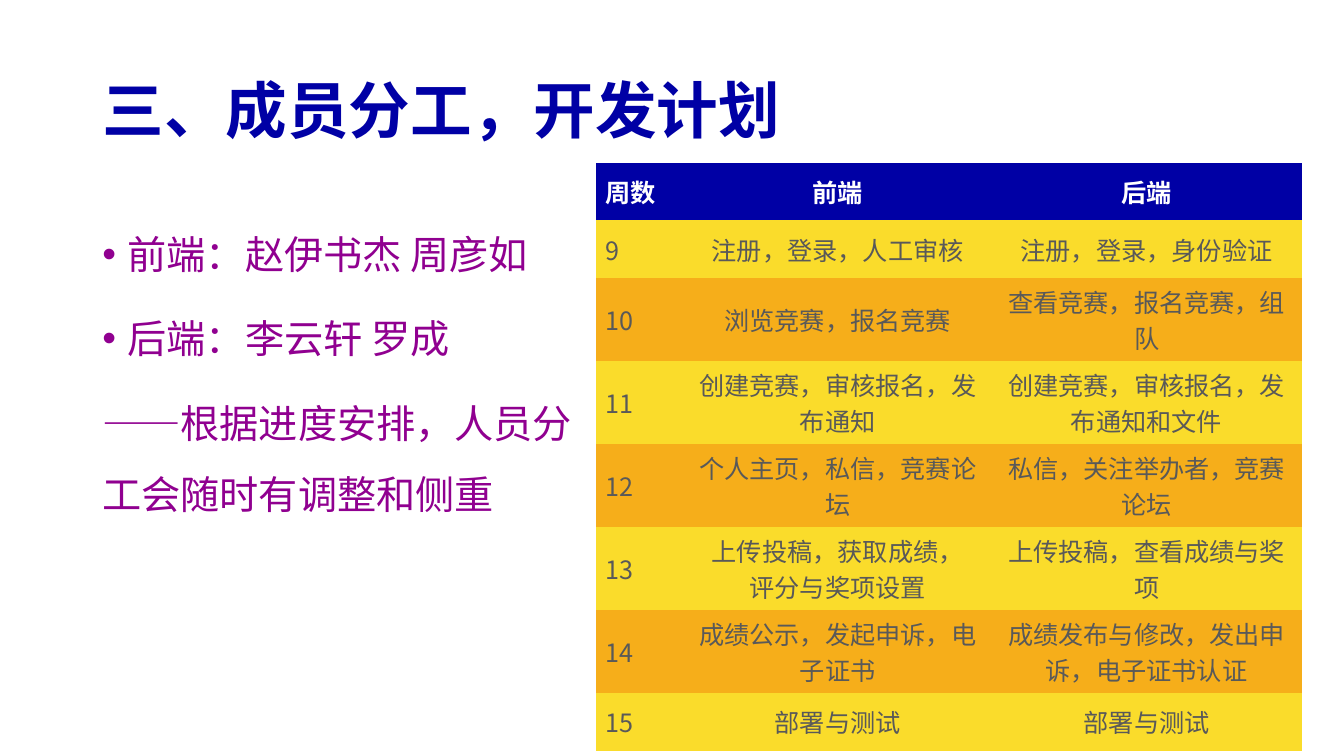
"""Build the slide on team roles and the weekly development plan."""
from lxml import etree
from pptx import Presentation
from pptx.dml.color import RGBColor
from pptx.enum.lang import MSO_LANGUAGE_ID
from pptx.enum.text import MSO_ANCHOR, MSO_AUTO_SIZE, PP_ALIGN
from pptx.oxml.ns import qn
from pptx.util import Cm, Pt

LEFT, CENTER = PP_ALIGN.LEFT, PP_ALIGN.CENTER
MIDDLE = MSO_ANCHOR.MIDDLE
NO_FIT = MSO_AUTO_SIZE.NONE
CHINESE = MSO_LANGUAGE_ID.SIMPLIFIED_CHINESE
FONT = "Noto Sans CJK SC"
COLORS = {
    "navy": "0000A5",
    "purple": "900090",
    "white": "FFFFFF",
    "grey": "595959",
    "yellow": "FADC2B",
    "orange": "F6AE1A",
}


def add_run(para, text, size, color, bold=False):
    run = para.add_run()
    run.text = text
    font = run.font
    font.size, font.bold, font.name = Pt(size), bold, FONT
    font.language_id = CHINESE
    font.color.rgb = RGBColor.from_string(COLORS[color])
    etree.SubElement(run._r.get_or_add_rPr(), qn("a:ea"), typeface=FONT)


deck = Presentation()
deck.slide_width, deck.slide_height = Cm(33.87), Cm(19.05)
slide = deck.slides.add_slide(deck.slide_layouts[5])

title = slide.shapes.title
title.left, title.top = Cm(2.33), Cm(1.01)
title.width, title.height = Cm(27.38), Cm(3.68)
frame = title.text_frame
frame.auto_size, frame.vertical_anchor = NO_FIT, MIDDLE
para = frame.paragraphs[0]
para.alignment, para.line_spacing = LEFT, 0.9
add_run(para, "三、成员分工，开发计划", 44, "navy", True)

roles = [
    ("前端：赵伊书杰 周彦如", True),
    ("后端：李云轩 罗成", True),
    ("——根据进度安排，人员分工会随时有调整和侧重", False),
]
box = slide.shapes.add_textbox(Cm(2.33), Cm(5.08), Cm(13.13), Cm(9.04))
frame = box.text_frame
frame.word_wrap, frame.auto_size = True, NO_FIT
for i, (text, bullet) in enumerate(roles):
    para = frame.add_paragraph() if i else frame.paragraphs[0]
    para.line_spacing, para.space_before = 1.5, Pt(10)
    if bullet:
        props = para._p.get_or_add_pPr()
        props.set("marL", str(Cm(0.64)))
        props.set("indent", str(-Cm(0.64)))
        etree.SubElement(props, qn("a:buFont"), typeface="Arial")
        etree.SubElement(props, qn("a:buChar"), char="•")
    add_run(para, text, 28, "purple")

plan = [
    ("周数", "前端", "后端"),
    ("9", "注册，登录，人工审核", "注册，登录，身份验证"),
    ("10", "浏览竞赛，报名竞赛", "查看竞赛，报名竞赛，组队"),
    ("11", "创建竞赛，审核报名，发布通知", "创建竞赛，审核报名，发布通知和文件"),
    ("12", "个人主页，私信，竞赛论坛", "私信，关注举办者，竞赛论坛"),
    ("13", "上传投稿，获取成绩，\n评分与奖项设置", "上传投稿，查看成绩与奖项"),
    ("14", "成绩公示，发起申诉，电子证书", "成绩发布与修改，发出申诉，电子证书认证"),
    ("15", "部署与测试", "部署与测试"),
]
widths = [2.24, 7.72, 7.85]
heights = [1.45] * 2 + [1.68] * 5 + [1.45]
table = slide.shapes.add_table(
    len(plan), len(widths), Cm(15.01), Cm(4.1), Cm(sum(widths)), Cm(sum(heights))
).table
for col, width in zip(table.columns, widths):
    col.width = Cm(width)
for r, (texts, height) in enumerate(zip(plan, heights)):
    table.rows[r].height = Cm(height)
    head = r == 0
    fill = "navy" if head else "yellow" if r % 2 else "orange"
    for c, text in enumerate(texts):
        cell = table.cell(r, c)
        cell.fill.solid()
        cell.fill.fore_color.rgb = RGBColor.from_string(COLORS[fill])
        cell.vertical_anchor = MIDDLE
        frame = cell.text_frame
        for i, line in enumerate(text.split("\n")):
            para = frame.add_paragraph() if i else frame.paragraphs[0]
            para.alignment = CENTER if c else LEFT
            add_run(para, line, 18, "white" if head else "grey", head)
props = table._tbl.tblPr
props.find(qn("a:tableStyleId")).text = "{2D5ABB26-0587-4C30-8999-92F81FD0307C}"

deck.save("out.pptx")
